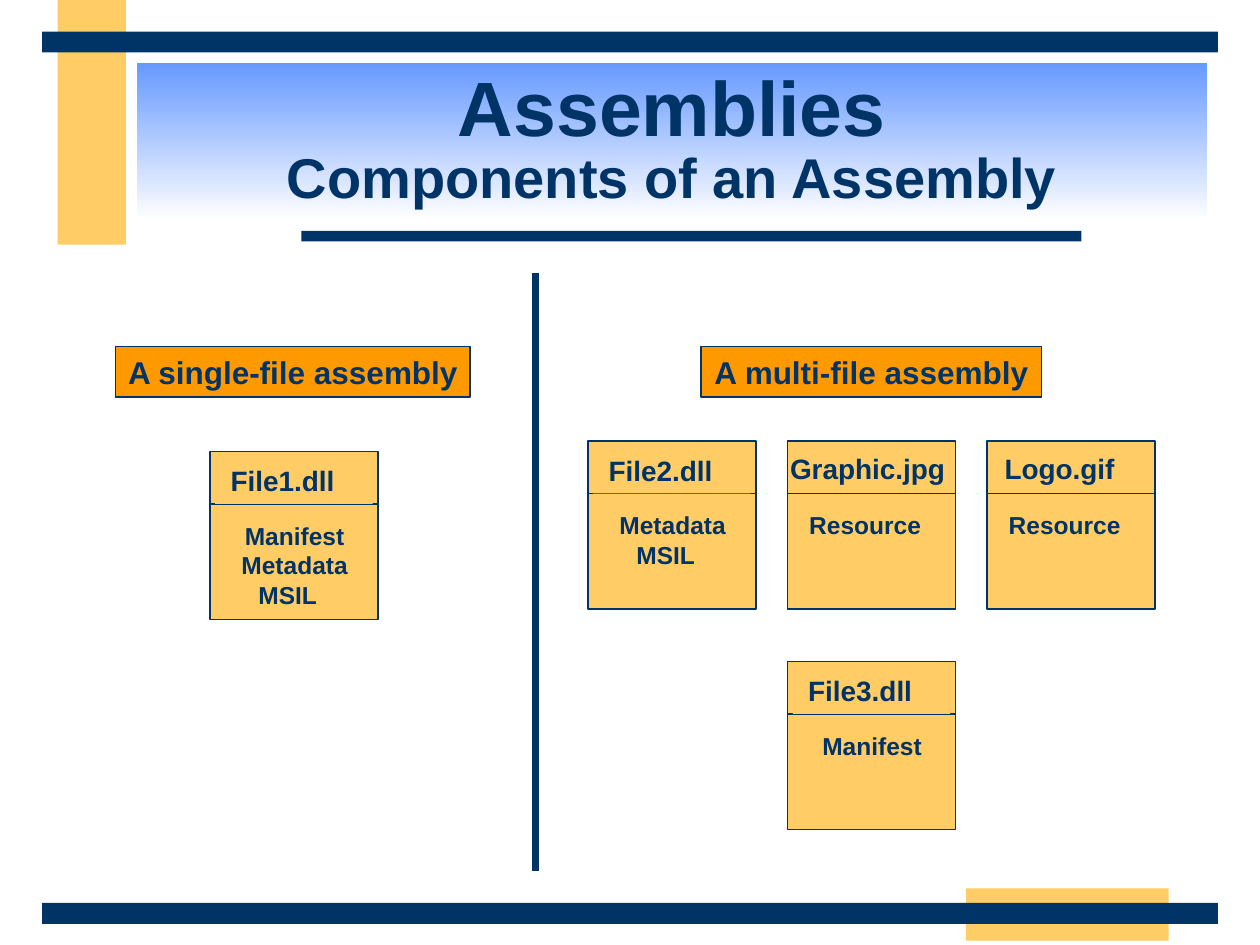
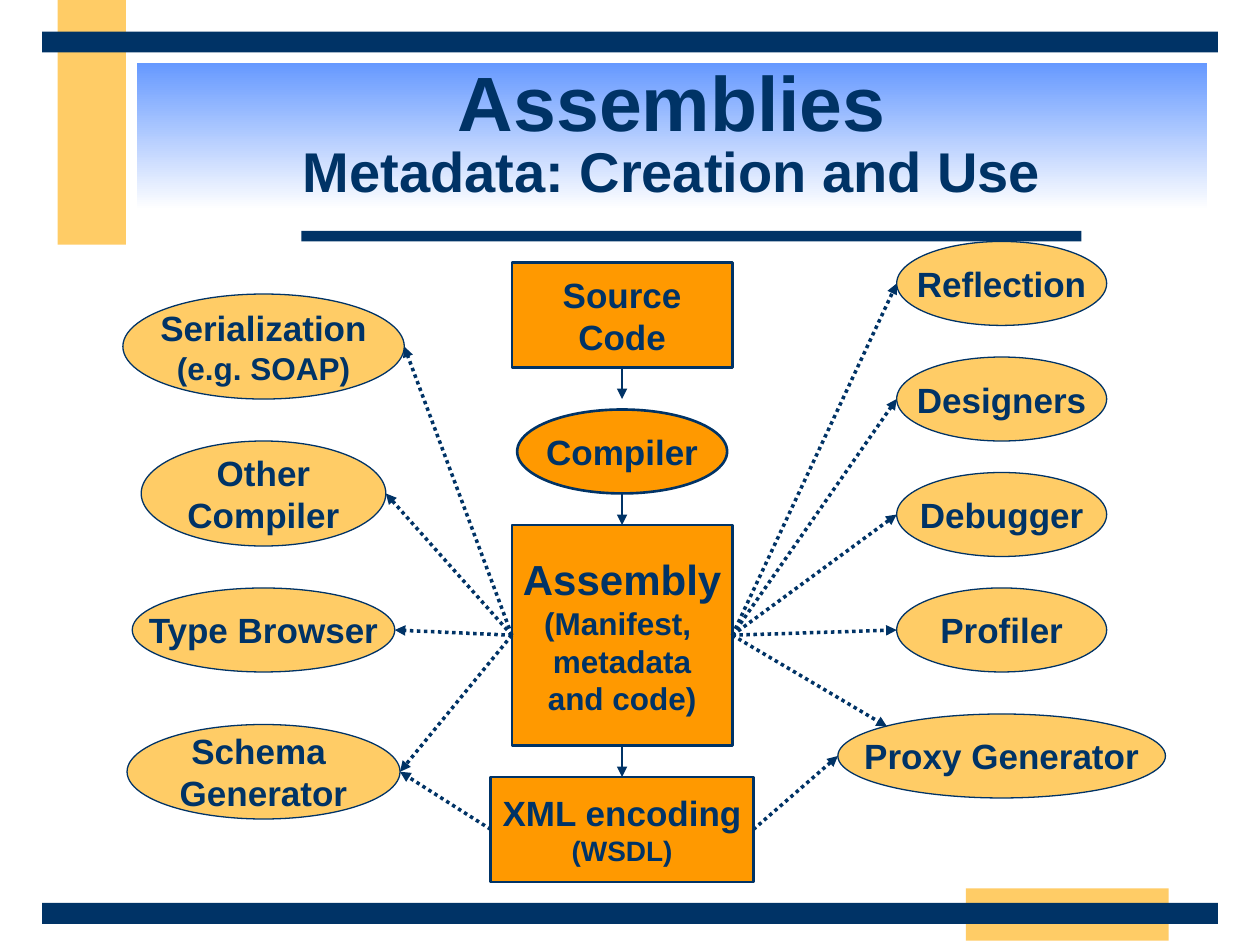
from lxml.etree import SubElement
from pptx import Presentation
from pptx.dml.color import RGBColor
from pptx.enum.dml import MSO_LINE
from pptx.enum.shapes import MSO_CONNECTOR, MSO_SHAPE
from pptx.enum.text import MSO_ANCHOR, MSO_AUTO_SIZE, PP_ALIGN
from pptx.oxml.ns import qn
from pptx.util import Inches, Pt

WIDE, HIGH = Inches(10), Inches(7.5)
COLS, ROWS = 120, 90
COLORS = {"navy": "003366", "sand": "FFCC66", "orange": "FF9900",
          "blue": "6699FF", "white": "FFFFFF"}
BANDS = [
    ((5.5, 0, 6.5, 23.3), "sand"),
    ((92, 84.6, 19.3, 5), "sand"),
    ((28.7, 22, 74.3, 1), "navy"),
    ((4, 86, 112, 2), "navy"),
    ((4, 3, 112, 2), "navy"),
]
LEAN = {"MSIL", "Resource"}


def hue(name):
    """Return the named colour."""
    return RGBColor.from_string(COLORS[name])


def col(n):
    """Turn grid columns into a length."""
    return round(n * WIDE / COLS)


def row(n):
    """Turn grid rows into a length."""
    return round(n * HIGH / ROWS)


def span(box):
    """Turn a grid box into left, top, width and height."""
    x, y, w, h = box
    return col(x), row(y), col(w), row(h)


def style(font, size):
    """Apply the shared bold face."""
    font.name, font.size, font.bold = "Arial", Pt(size), True
    font.color.rgb = hue("navy")


def write(frame, paras, wrap=False, anchor=MSO_ANCHOR.MIDDLE):
    """Fill a frame with centred paragraphs of (text, size) runs."""
    frame.word_wrap = wrap
    frame.vertical_anchor = anchor
    for i, (text, size) in enumerate(paras):
        para = frame.add_paragraph() if i else frame.paragraphs[0]
        para.alignment = PP_ALIGN.CENTER
        for j, line in enumerate(text.split("\n")):
            if j:
                para.add_line_break()
            run = para.add_run()
            run.text = line
            style(run.font, size)


def block(shapes, box, fill, line=0, kind=MSO_SHAPE.RECTANGLE):
    """Add a flat shape with an optional navy outline."""
    shape = shapes.add_shape(kind, *span(box))
    shape.shadow.inherit = False
    if fill:
        shape.fill.solid()
        shape.fill.fore_color.rgb = hue(fill)
    else:
        shape.fill.background()
    if line:
        shape.line.color.rgb = hue("navy")
        shape.line.width = Pt(line)
    else:
        shape.line.fill.background()
    return shape


def wire(shapes, start, end, width, arrow=False, dots=False):
    """Draw a navy line between two points."""
    link = shapes.add_connector(MSO_CONNECTOR.STRAIGHT, *start, *end)
    link.line.color.rgb = hue("navy")
    link.line.width = Pt(width)
    if dots:
        link.line.dash_style = MSO_LINE.ROUND_DOT
    if arrow:
        SubElement(link.get_or_add_ln(), qn("a:tailEnd"), type="triangle")
    SubElement(link._element.spPr, qn("a:effectLst"))


def spot(shape, x, y):
    """Return the point at the given shares of a shape's box."""
    return (round(shape.left + x * shape.width),
            round(shape.top + y * shape.height))


def start(deck, topic, rows):
    """Add a slide with its bands and title."""
    slide = deck.slides.add_slide(deck.slide_layouts[5])
    for box, fill in BANDS:
        block(slide.shapes, box, fill)
    title = slide.shapes.title
    title.left, title.top, title.width, title.height = span((13, 6, 102, rows))
    title.fill.gradient()
    title.fill.gradient_angle = 270
    for stop, name in zip(title.fill.gradient_stops, ("blue", "white")):
        stop.color.rgb = hue(name)
    frame = title.text_frame
    frame.auto_size = MSO_AUTO_SIZE.NONE
    frame.word_wrap = True
    frame.vertical_anchor = MSO_ANCHOR.MIDDLE
    para = frame.paragraphs[0]
    para.alignment, para.line_spacing = PP_ALIGN.CENTER, 0.85
    for i, (text, size) in enumerate((("Assemblies", 44), (topic, 32))):
        if i:
            para.add_line_break()
        run = para.add_run()
        run.text = text
        style(run.font, size)
    return slide


def card(slide, x, y, name, parts, gap=0.18):
    """Draw a file card with its name above a rule and its parts below."""
    shapes = slide.shapes.add_group_shape().shapes
    block(shapes, (x, y, 16, 16), "sand", 1)
    wire(shapes, (col(x), row(y + 5)), (col(x + 16), row(y + 5)), 1)

    lines = sum(part.count("\n") + 1 for part in parts)
    body = block(shapes, (x + 0.4, y + 6, 14, 1.2 + 2.8 * lines), "sand")
    frame = body.text_frame
    frame.margin_left = frame.margin_right = 0
    write(frame, [(part, 14) for part in parts], True, MSO_ANCHOR.TOP)
    for para, part in zip(frame.paragraphs, parts):
        if part not in LEAN:
            para._p.get_or_add_pPr().set("marL", str(Inches(0.11)))

    if name.endswith(".dll"):
        head = block(shapes, (x + 0.5, y + 0.6, 15, 4.4), "sand")
    else:
        head = block(shapes, (x - 1, y + 0.4, 18, 4.4), None)
    frame = head.text_frame
    frame.margin_left, frame.margin_right = 0, Inches(gap)
    write(frame, [(name, 16)], True, MSO_ANCHOR.TOP)


def files(deck):
    """Build the slide that sets one file against many."""
    slide = start(deck, "Components of an Assembly", 15)
    for x, w, text in ((11, 33.8, "A single-file assembly"),
                       (66.8, 32.4, "A multi-file assembly")):
        label = block(slide.shapes, (x, 33, w, 4.8), "orange", 1)
        write(label.text_frame, [(text, 18)], anchor=MSO_ANCHOR.TOP)
    wire(slide.shapes, (col(51), row(26)), (col(51), row(83)), 4.5)
    left, step = 56, 19
    card(slide, 20, 43, "File1.dll", ["Manifest\nMetadata", "MSIL"])
    card(slide, left, 42, "File2.dll", ["Metadata", "MSIL"])
    card(slide, left + step, 42, "Graphic.jpg", ["Resource"], 0.06)
    card(slide, left + 2 * step, 42, "Logo.gif", ["Resource"])
    card(slide, left + step, 63, "File3.dll", ["Manifest"])


def node(slide, mid, top, size, paras, fill="sand", line=0.75,
         kind=MSO_SHAPE.OVAL):
    """Add a labelled node centred on a column."""
    w, h = size
    shape = block(slide.shapes, (mid - w / 2, top, w, h), fill, line, kind)
    write(shape.text_frame, paras)
    return shape


def flow(slide, mid):
    """Stack the build steps and join them with arrows."""
    box, oval = MSO_SHAPE.RECTANGLE, MSO_SHAPE.OVAL
    steps = [
        (25, (21, 10), box, [("Source", 20), ("Code", 20)]),
        (39, (20, 8), oval, [("Compiler", 20)]),
        (50, (21, 21), box, [("Assembly", 24), ("(Manifest, \nmetadata", 18),
                             ("and code)", 18)]),
        (74, (25, 10), box, [("XML encoding", 20), ("(WSDL)", 16)]),
    ]
    nodes = [node(slide, mid, top, size, paras, "orange", 1.5, kind)
             for top, size, kind, paras in steps]
    for shape in nodes[:-1]:
        x, y = spot(shape, 0.5, 1)
        wire(slide.shapes, (x, y), (x, y + row(3)), 1, True)
    return nodes[2:]


def users(slide, mid, items):
    """Add a column of ovals."""
    return [node(slide, mid, top, size, [*paras])
            for top, size, *paras in items]


def meta(deck):
    """Build the slide on how metadata is made and used."""
    slide = start(deck, "Metadata: Creation and Use", 14)
    core, code = flow(slide, 59.25)
    west = users(slide, 25.1, [
        (28, (26.8, 10), ("Serialization", 20), ("(e.g. SOAP)", 18)),
        (42, (23.3, 10), ("Other", 20), ("Compiler", 20)),
        (56, (25, 8), ("Type Browser", 20)),
        (69, (26, 9), ("Schema ", 20), ("Generator", 20)),
    ])
    names = ("Reflection", "Designers", "Debugger", "Profiler")
    east = users(slide, 95.4, [
        *((23 + 11 * i, (20, 8), (name, 20)) for i, name in enumerate(names)),
        (68, (31.2, 8), ("Proxy Generator", 20)),
    ])
    schema, proxy = west[-1], east[-1]
    links = [(spot(core, 0, 0.5), spot(oval, 1, 0.5)) for oval in west]
    links += [(spot(core, 1, 0.5), spot(oval, 0, 0.5)) for oval in east[:-1]]
    links += [
        (spot(core, 1, 0.5), spot(proxy, 0.15, 0.15)),
        (spot(code, 0, 0.5), spot(schema, 1, 0.5)),
        (spot(code, 1, 0.5), spot(proxy, 0, 0.5)),
    ]
    for head, tail in links:
        wire(slide.shapes, head, tail, 2, True, True)


def main():
    """Build and save the deck."""
    deck = Presentation()
    deck.slide_width, deck.slide_height = WIDE, HIGH
    files(deck)
    meta(deck)
    deck.save("out.pptx")


if __name__ == "__main__":
    main()
